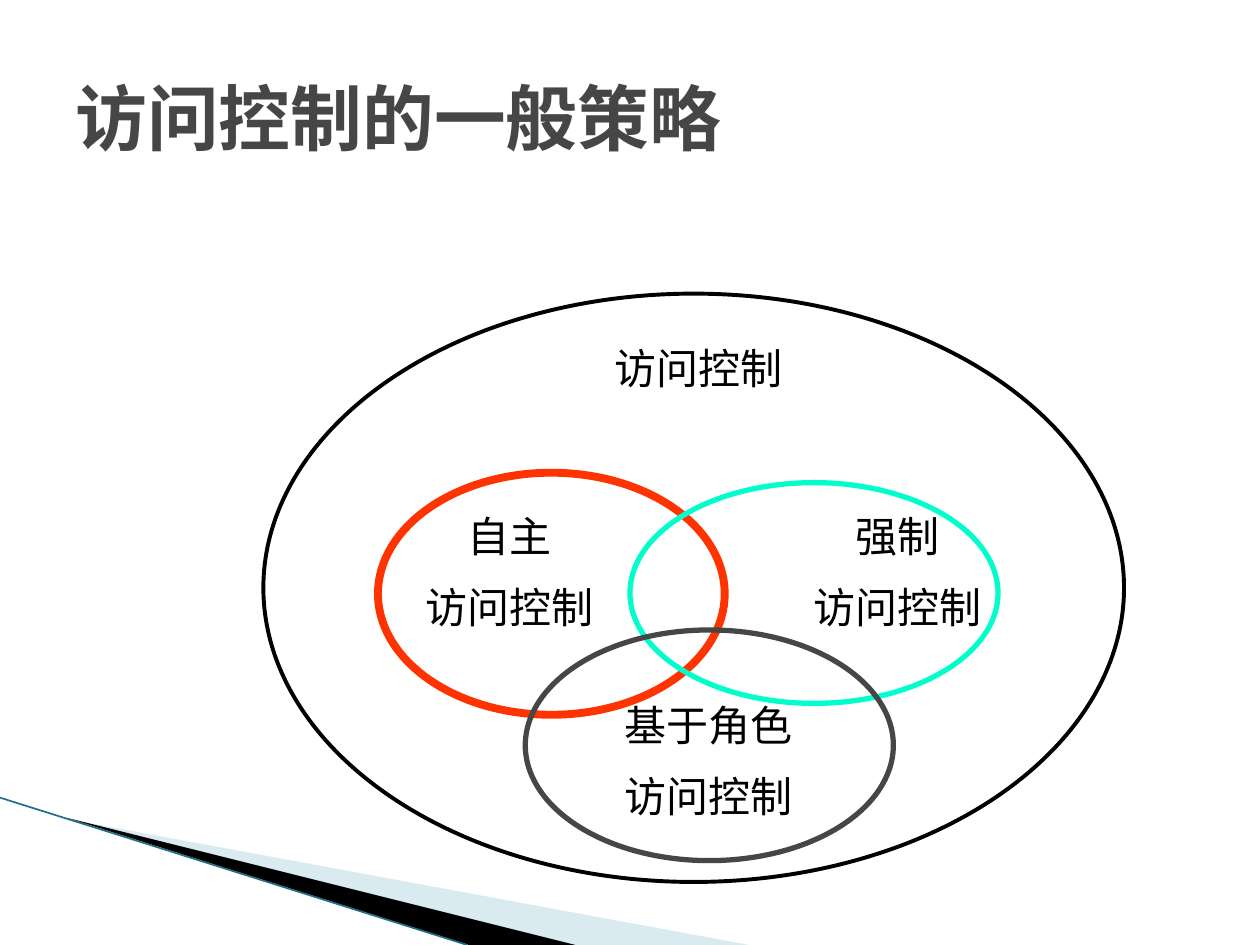
"""Build the slide on general access control strategies."""
from lxml import etree
from pptx import Presentation
from pptx.dml.color import RGBColor
from pptx.enum.shapes import MSO_CONNECTOR, MSO_SHAPE
from pptx.enum.text import MSO_ANCHOR, PP_ALIGN
from pptx.oxml.ns import qn
from pptx.util import Cm, Pt

OVAL, STRAIGHT = MSO_SHAPE.OVAL, MSO_CONNECTOR.STRAIGHT
LEFT, CENTER = PP_ALIGN.LEFT, PP_ALIGN.CENTER
TOP, MIDDLE = MSO_ANCHOR.TOP, MSO_ANCHOR.MIDDLE

COLORS = {
    "black": "000000", "grey": "464646", "red": "FF3300",
    "mint": "00FFCC", "pale": "A0CBDC", "teal": "1F6F85",
}
TITLE = "访问控制的一般策略"
LABEL_WIDTH = 4.01
LABELS = [
    (8.26, 10.16, ["自主", "访问控制"]),
    (16.08, 10.16, ["强制", "访问控制"]),
    (12.27, 13.97, ["基于角色", "访问控制"]),
    (12.07, 6.78, ["访问控制"]),
]
DOMAIN = (5.31, 5.92, 17.35, 11.86, "black", 2.25)
POLICIES = [
    (7.62, 9.53, 6.99, 4.88, "red", 4.5),
    (12.7, 9.73, 7.42, 4.45, "mint", 3),
    (10.59, 12.7, 7.42, 4.65, "grey", 3),
]
WEDGES = [
    ([(1.4, 16.52), (15.1, 19.05), (11.57, 19.05)], "pale", 40),
    ([(1.36, 16.49), (11.6, 19.05), (9.45, 19.05)], "black", 100),
]
EDGE = (0, 16.08, 9.42, 19.05)

prs = Presentation()
prs.slide_width, prs.slide_height = Cm(25.4), Cm(19.05)
slide = prs.slides.add_slide(prs.slide_layouts[6])
shapes = slide.shapes


def rgb(name):
    return RGBColor.from_string(COLORS[name])


def add_text(lines, left, top, width, height, *, size=24, font="Times New Roman",
             color="black", bold=False, align=CENTER, anchor=TOP, before=0):
    frame = shapes.add_textbox(Cm(left), Cm(top), Cm(width), Cm(height)).text_frame
    frame.word_wrap = True
    frame.vertical_anchor = anchor
    frame.text = "\n".join(lines)
    for paragraph in frame.paragraphs:
        paragraph.alignment = align
        if before:
            spacing = etree.SubElement(paragraph._p.get_or_add_pPr(), qn("a:spcBef"))
            etree.SubElement(spacing, qn("a:spcPct"), val=str(before * 1000))
        face = paragraph.runs[0].font
        face.name, face.size, face.bold = font, Pt(size), bold
        face.color.rgb = rgb(color)


def add_ellipse(left, top, width, height, color, weight):
    ellipse = shapes.add_shape(OVAL, Cm(left), Cm(top), Cm(width), Cm(height))
    ellipse.shadow.inherit = False
    ellipse.fill.background()
    ellipse.line.color.rgb = rgb(color)
    ellipse.line.width = Pt(weight)


def add_wedge(points, color, opacity):
    start, *rest = [(Cm(x), Cm(y)) for x, y in points]
    builder = shapes.build_freeform(*start)
    builder.add_line_segments(rest, close=True)
    wedge = builder.convert_to_shape()
    wedge.shadow.inherit = False
    wedge.line.fill.background()
    wedge.fill.solid()
    wedge.fill.fore_color.rgb = rgb(color)
    if opacity < 100:
        tint = wedge._element.spPr.find(".//" + qn("a:srgbClr"))
        etree.SubElement(tint, qn("a:alpha"), val=str(opacity * 1000))


for wedge_spec in WEDGES:
    add_wedge(*wedge_spec)
edge = shapes.add_connector(STRAIGHT, *map(Cm, EDGE))
edge.line.color.rgb = rgb("teal")
edge.line.width = Pt(0.95)
etree.SubElement(edge._element.spPr, qn("a:effectLst"))

add_ellipse(*DOMAIN)
for policy in POLICIES:
    add_ellipse(*policy)
for left, top, lines in LABELS:
    add_text(lines, left, top, LABEL_WIDTH, 1.27 if len(lines) == 1 else 2.79, before=50)
add_text([TITLE], 1.27, 0.76, 22.86, 3.18, size=41, font="Courier New",
         color="grey", bold=True, align=LEFT, anchor=MIDDLE)

prs.save("out.pptx")
